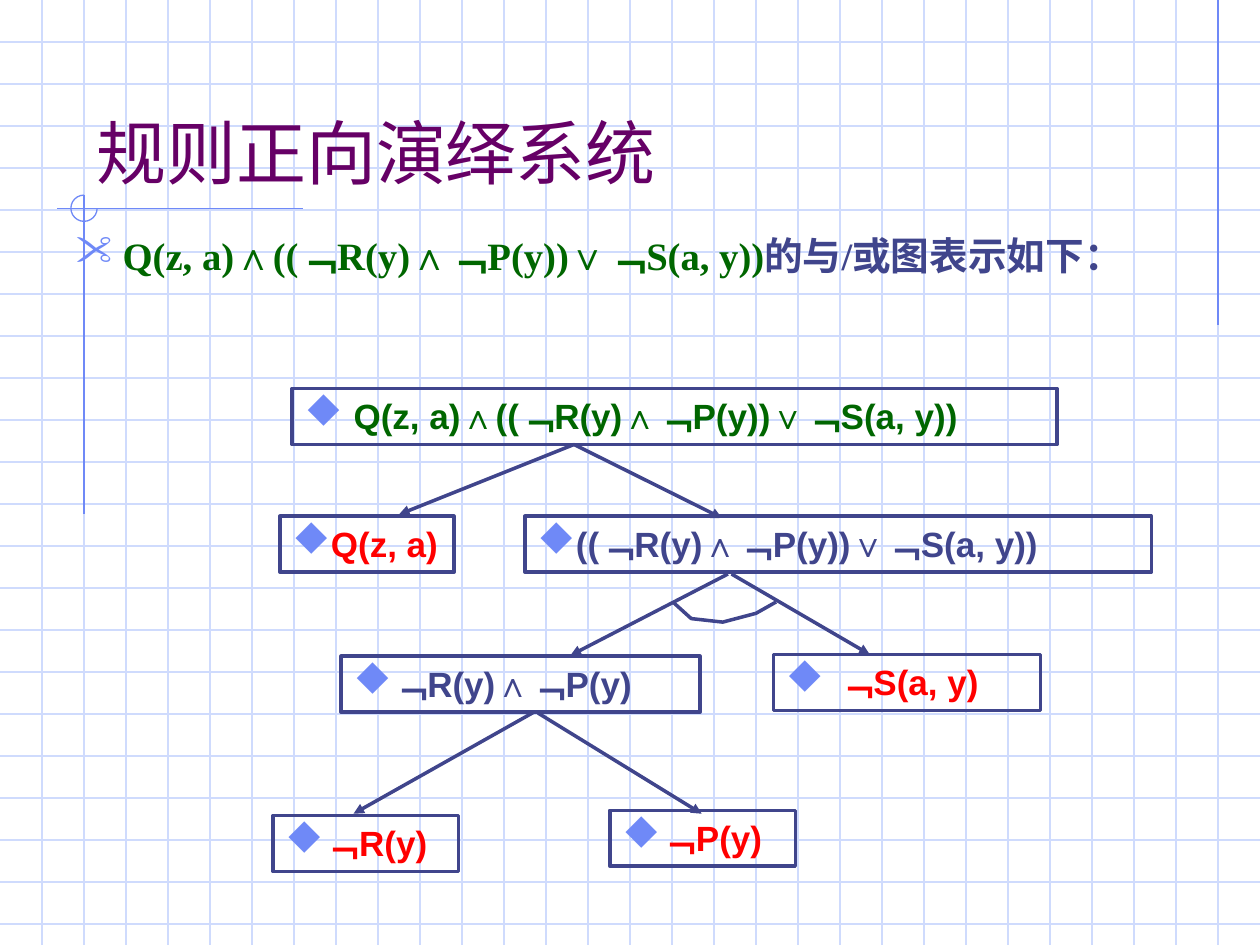
from lxml import etree
from pptx import Presentation
from pptx.dml.color import RGBColor
from pptx.enum.shapes import MSO_CONNECTOR, MSO_SHAPE
from pptx.enum.text import MSO_ANCHOR
from pptx.oxml.ns import qn
from pptx.util import Pt

STRAIGHT = MSO_CONNECTOR.STRAIGHT
RECT, ARC = MSO_SHAPE.RECTANGLE, MSO_SHAPE.ARC
BOTTOM, TOP = MSO_ANCHOR.BOTTOM, MSO_ANCHOR.TOP

COLORS = {
    "grid": "CFDBFD", "accent": "6F89F7", "title": "660066",
    "formula": "006600", "ink": "40458C", "leaf": "FF0000",
}
SCISSORS, DIAMOND = '"', "u"
FORMULA = "Q(z, a)∧((﹁R(y)∧﹁P(y))∨﹁S(a, y))"
NODE_HEIGHT = 32
NODES = [
    (11, 0, 437, FORMULA, "formula", 28),
    (4, 73, 99.5, "Q(z, a)", "leaf", 0),
    (144, 73, 358, "((﹁R(y)∧﹁P(y))∨﹁S(a, y))", "ink", 0),
    (39, 153, 205, "﹁R(y)∧﹁P(y)", "ink", 0),
    (286, 152, 152.5, "﹁S(a, y)", "leaf", 30),
    (0, 244, 106, "﹁R(y)", "leaf", 0),
    (192.5, 241, 106, "﹁P(y)", "leaf", 0),
]
EDGES = [
    (172, 32, 72, 72), (172, 32, 256.5, 74),
    (260, 106, 170, 152.5), (262, 106, 341, 152),
    (149, 185, 46, 243), (151.5, 185.5, 245, 243),
]
AND_ARC = [(228.5, 122), (239, 131.5), (257, 133.5), (276, 128.5), (287.5, 122)]


def rgb(name):
    """Return the named palette colour."""
    return RGBColor.from_string(COLORS[name])


def style_line(line, color, width):
    """Set the colour and width of a line."""
    line.color.rgb = rgb(color)
    line.width = Pt(width)


def add_line(slide, x1, y1, x2, y2, color, width=0.75, arrow=False):
    """Draw a straight line, with an arrowhead at its end if asked."""
    cn = slide.shapes.add_connector(STRAIGHT, Pt(x1), Pt(y1), Pt(x2), Pt(y2))
    style_line(cn.line, color, width)
    if arrow:
        etree.SubElement(cn.line._get_or_add_ln(), qn("a:tailEnd"), type="triangle")
    etree.SubElement(cn._element.spPr, qn("a:effectLst"))


def add_run(p, text, size, font, color, bold=True):
    """Append a styled run to a paragraph."""
    r = p.add_run()
    r.text = text
    r.font.size = Pt(size)
    r.font.name = font
    r.font.bold = bold
    r.font.color.rgb = rgb(color)


def add_bullet(p, char, hang):
    """Give a paragraph a coloured symbol bullet and a hanging indent."""
    pPr = p._p.get_or_add_pPr()
    pPr.set("marL", str(Pt(hang)))
    pPr.set("indent", str(-Pt(hang)))
    pPr.set("algn", "l")
    clr = etree.SubElement(pPr, qn("a:buClr"))
    etree.SubElement(clr, qn("a:srgbClr"), val=COLORS["accent"])
    etree.SubElement(pPr, qn("a:buSzPct"), val="110000")
    etree.SubElement(pPr, qn("a:buFont"), typeface="Wingdings", pitchFamily="2", charset="2")
    etree.SubElement(pPr, qn("a:buChar"), char=char)


def add_text(slide, x, y, w, h, anchor):
    """Add a wrapping text box and return its text frame."""
    tf = slide.shapes.add_textbox(Pt(x), Pt(y), Pt(w), Pt(h)).text_frame
    tf.word_wrap = True
    tf.vertical_anchor = anchor
    return tf


def draw_grid(slide, w, h, step=24):
    """Rule the background into squares."""
    for y in range(step, h, step):
        add_line(slide, 0, y, w, y, "grid")
    for x in range(step, w, step):
        add_line(slide, x, 0, x, h, "grid")


def draw_ornament(slide, x, y, w):
    """Draw the corner cross with its open circle and the right-hand rule."""
    add_line(slide, x + w, 0, x + w, 186, "accent")
    add_line(slide, x + 125, y, x - 15.5, y, "accent")
    add_line(slide, x, y - 7.5, x, y + 175, "accent")
    sp = slide.shapes.add_shape(ARC, Pt(x - 7.5), Pt(y - 7.5), Pt(15), Pt(15))
    sp.adjustments[0] = 0
    sp.adjustments[1] = 162
    sp.shadow.inherit = False
    sp.fill.background()
    style_line(sp.line, "accent", 0.75)


def draw_title(slide, x, y, w, h):
    """Write the slide title."""
    p = add_text(slide, x, y, w, h, BOTTOM).paragraphs[0]
    add_run(p, "规则正向演绎系统", 40, "Lato", "title", False)


def draw_lead(slide, x, y, w, h):
    """Write the sentence that introduces the graph."""
    p = add_text(slide, x, y, w, h, TOP).paragraphs[0]
    add_bullet(p, SCISSORS, 27)
    p.line_spacing = 1.1
    add_run(p, FORMULA, 22.1, "Times New Roman", "formula")
    add_run(p, "的与/或图表示如下：", 22.1, "Times New Roman", "ink")


def draw_node(slide, x, y, w, h, text, color, hang):
    """Draw one framed node of the graph."""
    sp = slide.shapes.add_shape(RECT, Pt(x), Pt(y), Pt(w), Pt(h))
    sp.shadow.inherit = False
    sp.fill.background()
    style_line(sp.line, "ink", 2)
    tf = sp.text_frame
    tf.word_wrap = True
    tf.vertical_anchor = TOP
    p = tf.paragraphs[0]
    add_bullet(p, DIAMOND, hang)
    add_run(p, text, 20, "Arial", color)


def draw_graph(slide, x, y):
    """Draw the AND/OR graph from its top left corner."""
    for dx, dy, w, text, color, hang in NODES:
        draw_node(slide, x + dx, y + dy, w, NODE_HEIGHT, text, color, hang)
    for x1, y1, x2, y2 in EDGES:
        add_line(slide, x + x1, y + y1, x + x2, y + y2, "ink", 2, True)
    points = [(Pt(x + dx), Pt(y + dy)) for dx, dy in AND_ARC]
    fb = slide.shapes.build_freeform(*points[0])
    fb.add_line_segments(points[1:], close=False)
    sp = fb.convert_to_shape()
    sp.shadow.inherit = False
    sp.fill.background()
    style_line(sp.line, "ink", 2)


def main():
    """Build the slide and save it."""
    prs = Presentation()
    prs.slide_width, prs.slide_height = Pt(720), Pt(540)
    slide = prs.slides.add_slide(prs.slide_layouts[6])
    draw_grid(slide, 720, 540)
    draw_ornament(slide, 48, 119, 648)
    draw_title(slide, 48, 24, 612, 90)
    draw_lead(slide, 36, 126, 640, 48)
    draw_graph(slide, 156, 222)
    prs.save("out.pptx")


if __name__ == "__main__":
    main()
